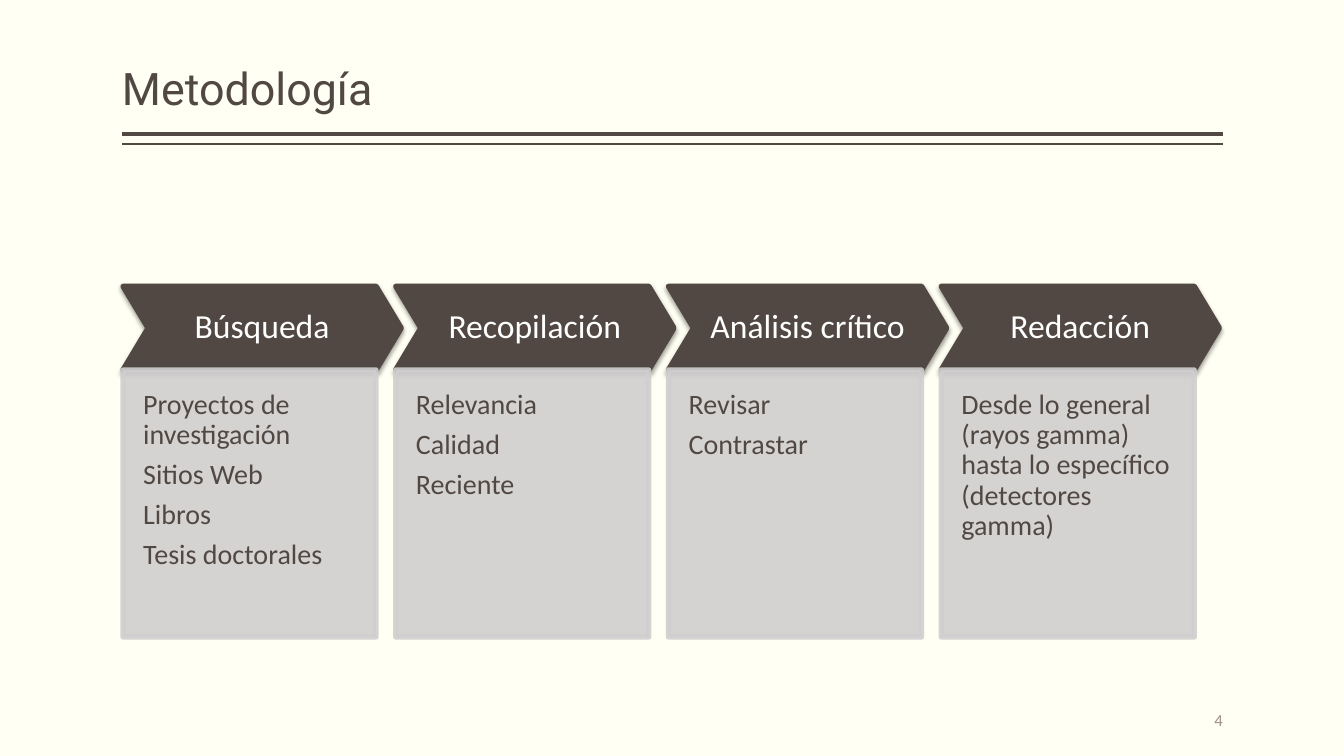
"""Build the methodology slide: four chevron steps with their detail boxes."""
import pptx
import pptx.util
import pptx.dml.color
import pptx.enum.shapes
import pptx.enum.text
import pptx.oxml
import lxml.etree

Inches, Pt = pptx.util.Inches, pptx.util.Pt
Kind = pptx.enum.shapes.MSO_SHAPE
Align = pptx.enum.text.PP_ALIGN
Anchor = pptx.enum.text.MSO_ANCHOR
NS = 'xmlns:a="http://schemas.openxmlformats.org/drawingml/2006/main"'
HEX = {"paper": "FFFFF3", "brown": "514843", "grey": "D0CFCF",
       "white": "FFFFFF", "faint": "9D8F88"}
RGB = {name: pptx.dml.color.RGBColor.from_string(code) for name, code in HEX.items()}
SHADOW = (f'<a:effectLst {NS}><a:outerShdw blurRad="44450" dist="25400" dir="5400000" '
          'rotWithShape="0"><a:srgbClr val="000000"><a:alpha val="38000"/></a:srgbClr>'
          '</a:outerShdw></a:effectLst>')


def write(shape, lines, size, color, inset, anchor, align=Align.LEFT, font="Calibri", gap=0):
    frame = shape.text_frame
    frame.word_wrap = True
    frame.vertical_anchor = anchor
    (frame.margin_left, frame.margin_top,
     frame.margin_right, frame.margin_bottom) = map(Inches, inset)
    for i, line in enumerate(lines):
        para = frame.paragraphs[0] if i == 0 else frame.add_paragraph()
        para.alignment = align
        para.line_spacing = 0.9
        para.space_after = Pt(gap)
        run = para.add_run()
        run.text = line
        run.font.name = font
        run.font.size = Pt(size)
        run.font.color.rgb = RGB[color]


def block(kind, left, top, width, height, color):
    shape = slide.shapes.add_shape(kind, *map(Inches, (left, top, width, height)))
    shape.shadow.inherit = False
    shape.fill.solid()
    shape.fill.fore_color.rgb = RGB[color]
    shape.line.color.rgb = RGB[color]
    shape.line.width = Pt(3.78)
    lxml.etree.SubElement(shape.line._get_or_add_ln(), pptx.oxml.ns.qn("a:round"))
    return shape


deck = pptx.Presentation()
deck.slide_width, deck.slide_height = Inches(13.33), Inches(7.5)
slide = deck.slides.add_slide(deck.slide_layouts[6])
slide.background.fill.solid()
slide.background.fill.fore_color.rgb = RGB["paper"]

LEFT, RIGHT = 1.21, 12.13
for y, weight in ((1.33, 3), (1.43, 1)):
    rule = slide.shapes.add_connector(
        pptx.enum.shapes.MSO_CONNECTOR.STRAIGHT,
        Inches(RIGHT), Inches(y), Inches(LEFT), Inches(y))
    rule.line.color.rgb = RGB["brown"]
    rule.line.width = Pt(weight)
    lxml.etree.SubElement(rule._element.spPr, pptx.oxml.ns.qn("a:effectLst"))

title = slide.shapes.add_textbox(Inches(LEFT), 0, Inches(RIGHT - LEFT), Inches(1.19))
write(title, ["Metodología"], 32, "brown", (0, 0.05, 0, 0.05), Anchor.BOTTOM, font="Roboto")

STEPS = {
    "Búsqueda": ["Proyectos de investigación", "Sitios Web", "Libros", "Tesis doctorales"],
    "Recopilación": ["Relevancia", "Calidad", "Reciente"],
    "Análisis crítico": ["Revisar", "Contrastar"],
    "Redacción": ["Desde lo general (rayos gamma) hasta lo específico (detectores gamma)"],
}
START, PITCH, TOP, HEAD, BODY = 1.22, 2.705, 2.84, 0.83, 2.65
for col, (name, items) in enumerate(STEPS.items()):
    x = START + col * PITCH
    head = block(Kind.CHEVRON, x, TOP, 2.76, HEAD, "brown")
    head.adjustments[0] = 0.3
    props = head._element.spPr
    props.replace(props.find(pptx.oxml.ns.qn("a:effectLst")), pptx.oxml.parse_xml(SHADOW))
    write(head, [name], 24, "white", (0.1,) * 4, Anchor.MIDDLE, Align.CENTER)

    body = block(Kind.RECTANGLE, x, TOP + HEAD, 2.51, BODY, "grey")
    for tint in body._element.spPr.iter(pptx.oxml.ns.qn("a:srgbClr")):
        lxml.etree.SubElement(tint, pptx.oxml.ns.qn("a:alpha"), val="90000")
    write(body, items, 20, "brown", (0.2, 0.2, 0.2, 0.4), Anchor.TOP, gap=7)

number = slide.shapes.add_textbox(Inches(RIGHT - 2), Inches(6.95), Inches(2), Inches(0.4))
write(number, ["4"], 12, "faint", (0, 0.05, 0, 0.05), Anchor.MIDDLE, Align.RIGHT)

deck.save("out.pptx")
